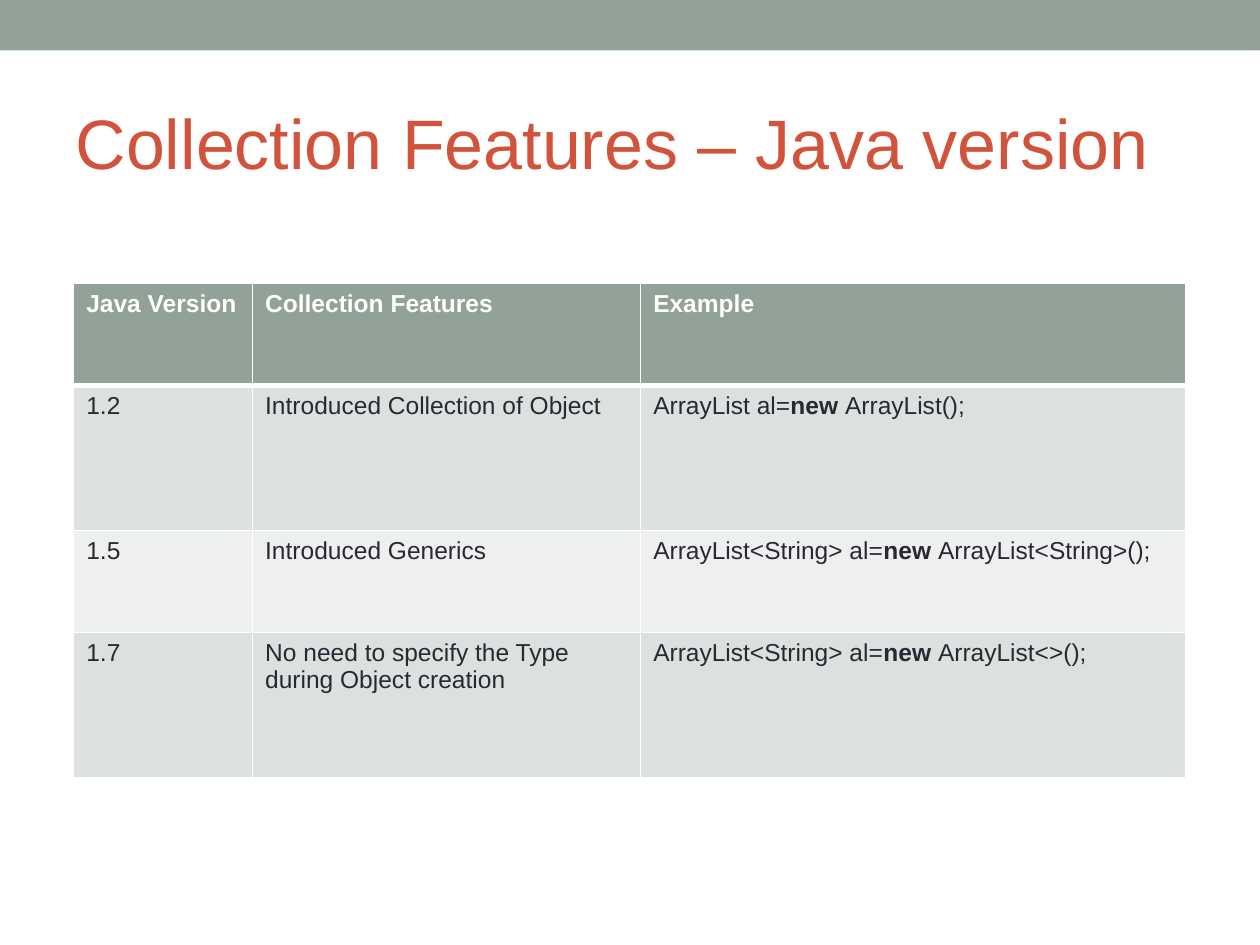
from typing import NamedTuple

import pptx
import pptx.dml.color
import pptx.enum.shapes
import pptx.enum.text
import pptx.oxml
import pptx.oxml.ns
import pptx.util

W, H = 10, 7.5
FONT = "Arial"
COLORS = {
    "sage": "93A299",
    "title": "D2533C",
    "text": "292934",
    "white": "FFFFFF",
    "odd": "DCE0DE",
    "even": "EEF0EF",
}
COL_WIDTHS = (1.42, 3.08, 4.33)
ROW_HEIGHTS = (0.81, 1.15, 0.81, 1.15)
HEADERS = ("Java Version", "Collection Features", "Example")


class Release(NamedTuple):
    version: str
    feature: str
    declaration: str
    constructor: str


RELEASES = (
    Release("1.2", "Introduced Collection of Object",
            "ArrayList al=", "ArrayList();"),
    Release("1.5", "Introduced Generics",
            "ArrayList<String> al=", "ArrayList<String>();"),
    Release("1.7", "No need to specify the Type during Object creation",
            "ArrayList<String> al=", "ArrayList<>();"),
)


def rgb(name: str) -> pptx.dml.color.RGBColor:
    return pptx.dml.color.RGBColor.from_string(COLORS[name])


def style_run(r, size: float, color: str, bold: bool = False) -> None:
    r.font.name = FONT
    r.font.size = pptx.util.Pt(size)
    r.font.bold = bold
    r.font.color.rgb = rgb(color)


def set_borders(cell, bottom: float = 1, top: float = 1) -> None:
    """Add white cell borders, with widths in points; call before the fill."""
    tcPr = cell._tc.get_or_add_tcPr()
    for side, width in (("L", 1), ("R", 1), ("T", top), ("B", bottom)):
        tcPr.append(pptx.oxml.parse_xml(
            f'<a:ln{side} {pptx.oxml.ns.nsdecls("a")} w="{pptx.util.Pt(width)}">'
            f'<a:solidFill><a:srgbClr val="{COLORS["white"]}"/></a:solidFill>'
            f'</a:ln{side}>'))


def fill_cell(cell, parts: tuple[str, ...], row: int) -> None:
    """Write the parts as runs; the second of several parts is bold."""
    header = row == 0
    set_borders(cell, bottom=3 if header else 1, top=3 if row == 1 else 1)
    cell.fill.solid()
    cell.fill.fore_color.rgb = rgb("sage" if header else "odd" if row % 2 else "even")
    p = cell.text_frame.paragraphs[0]
    for i, part in enumerate(parts):
        r = p.add_run()
        r.text = part
        style_run(r, 14, "white" if header else "text", header or i == 1)


def add_band(s) -> None:
    band = s.shapes.add_shape(pptx.enum.shapes.MSO_SHAPE.RECTANGLE, 0, 0,
                              pptx.util.Inches(W), pptx.util.Inches(0.4))
    band.shadow.inherit = False
    band.fill.solid()
    band.fill.fore_color.rgb = rgb("sage")
    band.line.fill.background()


def add_title(s, text: str) -> None:
    sp = s.shapes.title
    sp.left, sp.top = pptx.util.Inches(W * 0.05), pptx.util.Inches(0.58)
    sp.width, sp.height = pptx.util.Inches(W * 0.9), pptx.util.Inches(1.08)
    tf = sp.text_frame
    tf.text = text
    tf.word_wrap = True
    tf.auto_size = pptx.enum.text.MSO_AUTO_SIZE.NONE
    tf.vertical_anchor = pptx.enum.text.MSO_ANCHOR.MIDDLE
    tf.margin_left = tf.margin_right = pptx.util.Inches(0.1)
    tf.margin_top = tf.margin_bottom = pptx.util.Inches(0.1)
    p = tf.paragraphs[0]
    p.alignment = pptx.enum.text.PP_ALIGN.LEFT
    style_run(p.runs[0], 40, "title")


def add_release_table(s) -> None:
    width, height = sum(COL_WIDTHS), sum(ROW_HEIGHTS)
    table = s.shapes.add_table(
        len(ROW_HEIGHTS), len(COL_WIDTHS),
        pptx.util.Inches((W - width) / 2), pptx.util.Inches(H * 0.3),
        pptx.util.Inches(width), pptx.util.Inches(height)).table
    table.horz_banding = False
    for column, size in zip(table.columns, COL_WIDTHS):
        column.width = pptx.util.Inches(size)
    for row, size in zip(table.rows, ROW_HEIGHTS):
        row.height = pptx.util.Inches(size)

    rows = [[(header,) for header in HEADERS]]
    rows += [[(x.version,), (x.feature,), (x.declaration, "new ", x.constructor)]
             for x in RELEASES]
    for i, row in enumerate(rows):
        for j, parts in enumerate(row):
            fill_cell(table.cell(i, j), parts, i)


def main() -> None:
    prs = pptx.Presentation()
    prs.slide_width, prs.slide_height = pptx.util.Inches(W), pptx.util.Inches(H)
    s = prs.slides.add_slide(prs.slide_layouts.get_by_name("Title Only"))
    add_band(s)
    add_title(s, "Collection Features – Java version")
    add_release_table(s)
    prs.save("out.pptx")


if __name__ == "__main__":
    main()
